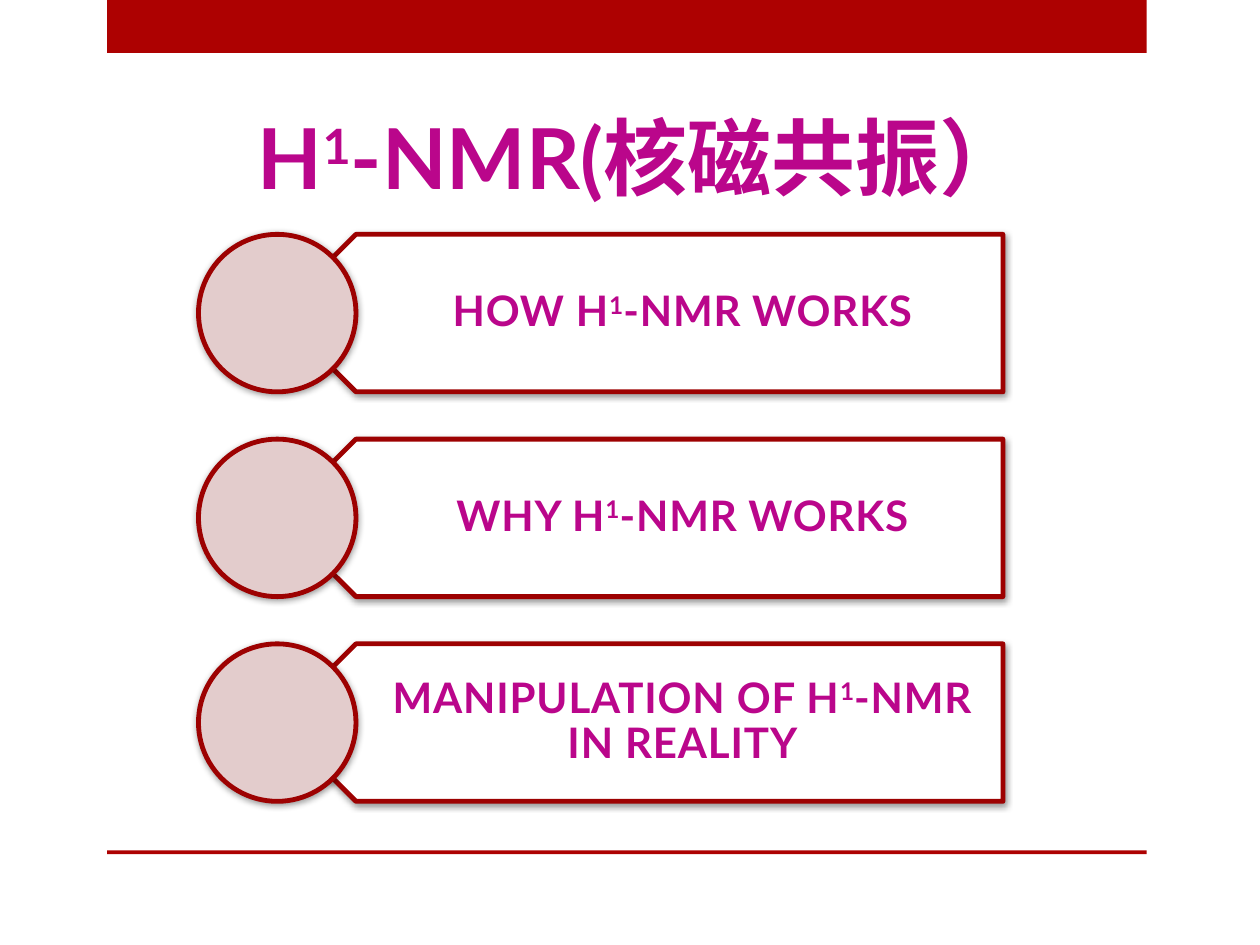
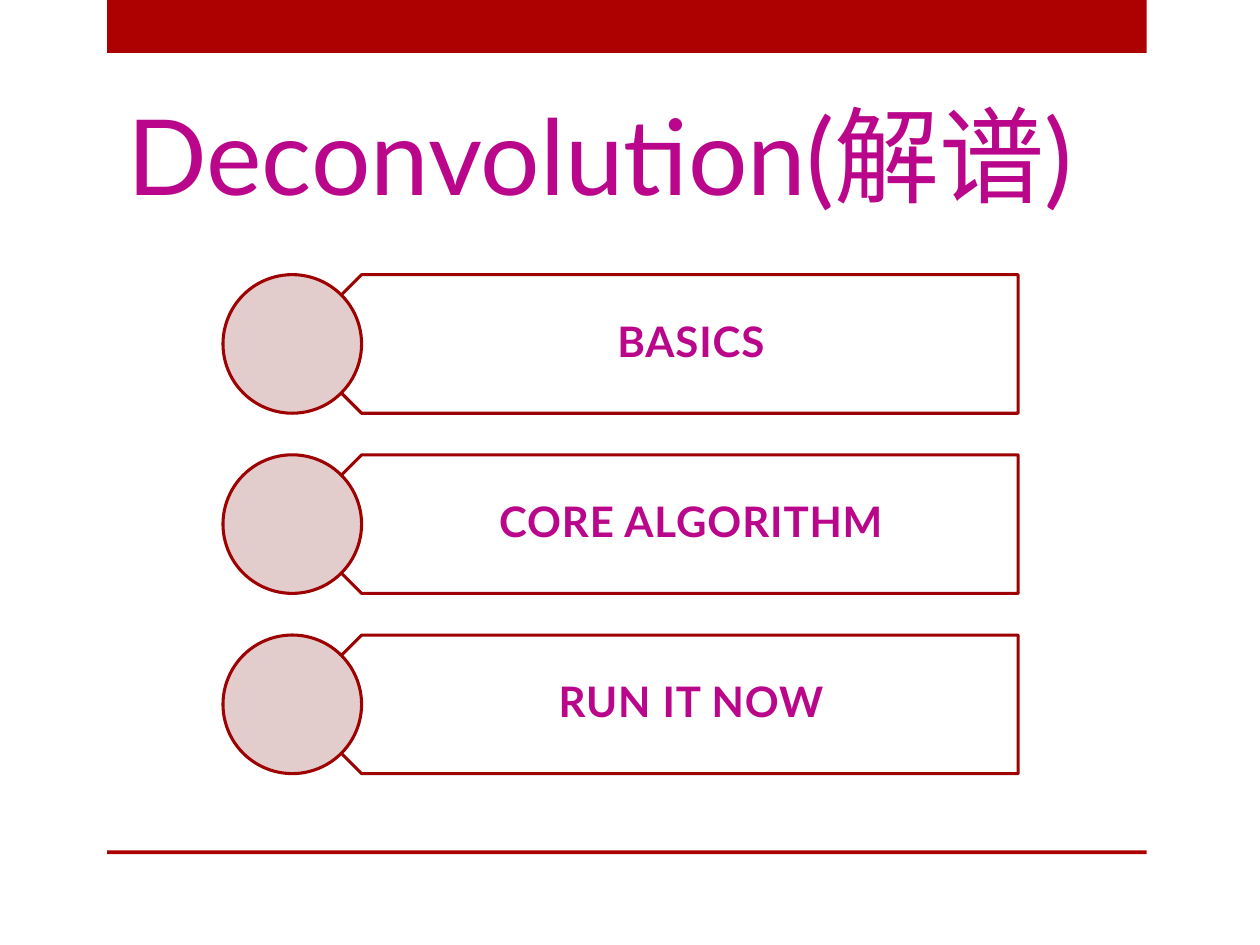
from lxml.etree import SubElement
from pptx import Presentation
from pptx.dml.color import RGBColor
from pptx.enum.shapes import MSO_SHAPE
from pptx.enum.text import MSO_ANCHOR, MSO_AUTO_SIZE, PP_ALIGN
from pptx.oxml.ns import qn
from pptx.util import Inches, Pt

BAND_RED = RGBColor(0xAD, 0x01, 0x01)
OUTLINE_RED = RGBColor(0x9D, 0x01, 0x01)
CIRCLE_PINK = RGBColor(0xE3, 0xCC, 0xCC)
MAGENTA = RGBColor(0xBA, 0x06, 0x8B)
WHITE = RGBColor(0xFF, 0xFF, 0xFF)

FONT = "Lato"
TITLE_ONLY = 5
PLATE_WIDTH = 5.76
PITCH_RATIO = 1.3


class Deck:
    def __init__(self):
        self.presentation = Presentation()
        self.presentation.slide_width = Inches(10)
        self.presentation.slide_height = Inches(7.5)
        self.layout = self.presentation.slide_layouts[TITLE_ONLY]
        self.slide = None

    def add_slide(self):
        self.slide = self.presentation.slides.add_slide(self.layout)

    def add_layout_bands(self):
        """Draw the bands on the current slide, then move them to the layout."""
        layout_tree = self.layout.element.cSld.spTree
        for top, height in ((0, 0.42), (6.75, 0.03)):
            band = self.add_filled_shape(self.slide.shapes, MSO_SHAPE.RECTANGLE,
                                         (0.85, top, 8.25, height), BAND_RED)
            band.line.fill.background()
            layout_tree.insert_element_before(band.element, "p:extLst")

    def add_filled_shape(self, shapes, kind, box, color):
        shape = shapes.add_shape(kind, *map(Inches, box))
        shape.shadow.inherit = False
        shape.fill.solid()
        shape.fill.fore_color.rgb = color
        return shape

    def add_outlined_shape(self, shapes, kind, box, color, line_width, shadow):
        shape = self.add_filled_shape(shapes, kind, box, color)
        shape.line.color.rgb = OUTLINE_RED
        shape.line.width = Pt(line_width)
        if shadow:
            self.add_soft_shadow(shape)
        return shape

    def add_soft_shadow(self, shape):
        effects = shape.element.spPr.find(qn("a:effectLst"))
        shadow = SubElement(effects, qn("a:outerShdw"), blurRad=str(Pt(4)),
                            dist=str(Pt(1)), dir=str(88 * 60000), rotWithShape="0")
        color = SubElement(shadow, qn("a:srgbClr"), val="000000")
        SubElement(color, qn("a:alpha"), val="40000")

    def add_runs(self, paragraph, text, size, bold, spacing=0):
        """Fill the paragraph; text between two carets is superscript."""
        for index, piece in enumerate(text.split("^")):
            run = paragraph.add_run()
            run.text = piece
            run.font.name = FONT
            run.font.size = Pt(size)
            run.font.bold = bold
            run.font.color.rgb = MAGENTA
            properties = run.font._element
            if index % 2:
                properties.set("baseline", "30000")
            elif spacing:
                properties.set("spc", str(int(spacing * 100)))

    def add_title(self, text, left, top, size, bold, alignment):
        title = self.slide.shapes.title
        title.left, title.top = Inches(left), Inches(top)
        title.width, title.height = Inches(8.67), Inches(1.25)
        frame = title.text_frame
        frame.auto_size = MSO_AUTO_SIZE.NONE
        frame.vertical_anchor = MSO_ANCHOR.BOTTOM
        frame.paragraphs[0].alignment = alignment
        self.add_runs(frame.paragraphs[0], text, size, bold)

    def add_label(self, shapes, text, box, left_inset):
        label = shapes.add_textbox(*map(Inches, box))
        frame = label.text_frame
        frame.word_wrap = True
        frame.vertical_anchor = MSO_ANCHOR.MIDDLE
        frame.margin_left, frame.margin_right = Inches(left_inset), Inches(0.19)
        frame.margin_top = frame.margin_bottom = Inches(0.1)
        paragraph = frame.paragraphs[0]
        paragraph.alignment = PP_ALIGN.CENTER
        paragraph.line_spacing = 0.9
        self.add_runs(paragraph, text, 24, True, spacing=0.5)

    def add_topic_list(self, topics, left, top, diameter, line_width, shadow=False):
        """Stack plates pointing left, each with a circle centred on its tip."""
        shapes = self.slide.shapes.add_group_shape().shapes
        for index, topic in enumerate(topics):
            row_top = top + index * diameter * PITCH_RATIO
            plate = self.add_outlined_shape(
                shapes, MSO_SHAPE.PENTAGON, (left, row_top, PLATE_WIDTH, diameter),
                WHITE, line_width, shadow)
            plate.rotation = 180
            indent = diameter / 4
            self.add_label(shapes, topic,
                           (left + indent, row_top, PLATE_WIDTH - indent, diameter),
                           diameter * 0.44)
            self.add_outlined_shape(
                shapes, MSO_SHAPE.OVAL,
                (left - diameter / 2, row_top, diameter, diameter),
                CIRCLE_PINK, line_width, shadow)


def main():
    deck = Deck()

    deck.add_slide()
    deck.add_layout_bands()
    deck.add_title("H^1^-NMR(核磁共振）", 0.75, 0.44, 48, True, PP_ALIGN.CENTER)
    deck.add_topic_list(
        ["HOW H^1^-NMR WORKS", "WHY H^1^-NMR WORKS", "MANIPULATION OF H^1^-NMR IN REALITY"],
        left=2.2, top=1.86, diameter=1.25, line_width=2.75, shadow=True)

    deck.add_slide()
    deck.add_title("Deconvolution(解谱)", 0.91, 0.52, 60, False, PP_ALIGN.LEFT)
    deck.add_topic_list(["BASICS", "CORE ALGORITHM", "RUN IT NOW"],
                        left=2.32, top=2.18, diameter=1.1, line_width=1.75)

    deck.presentation.save("out.pptx")


if __name__ == "__main__":
    main()
